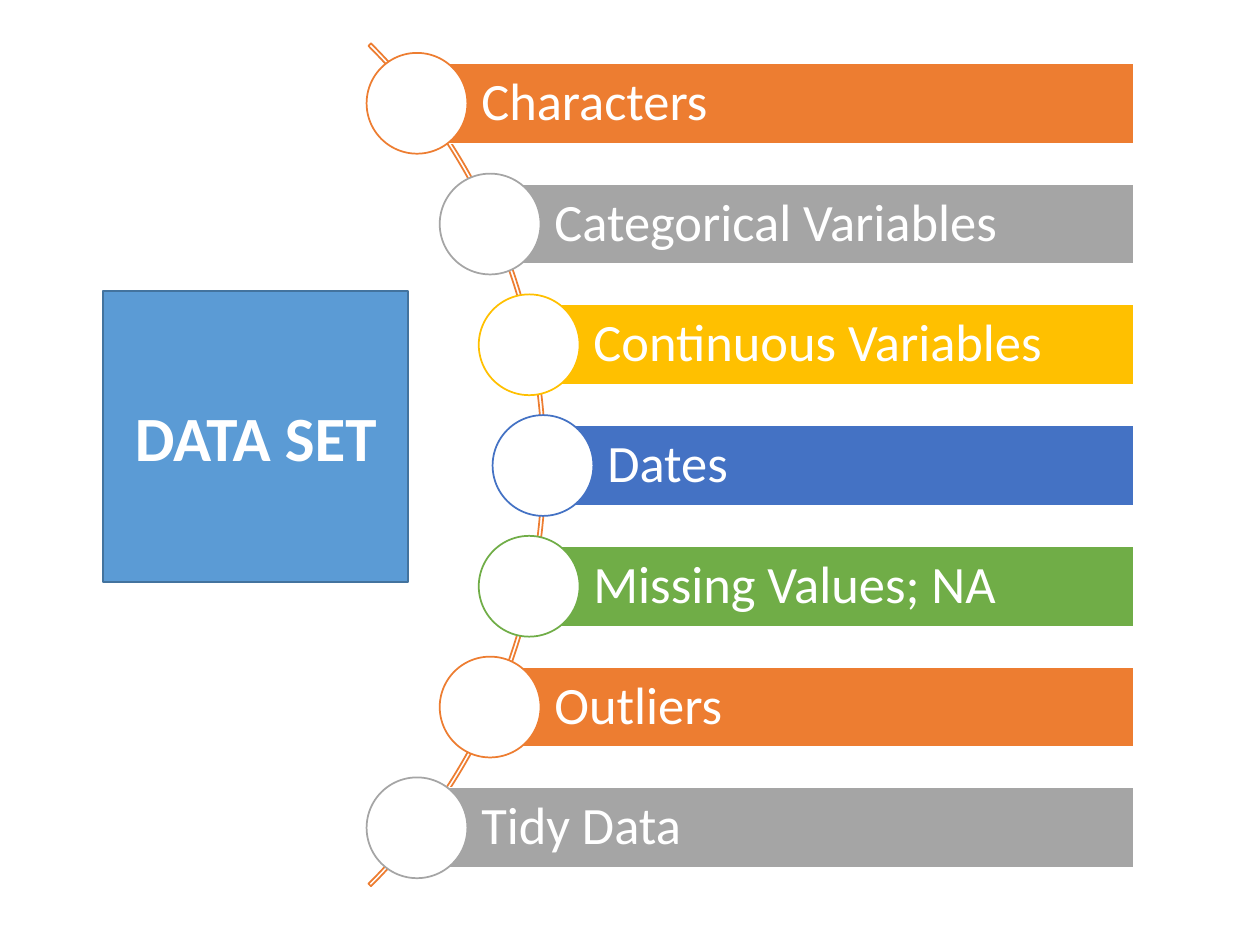
from pptx import Presentation
from pptx.dml.color import RGBColor
from pptx.enum.shapes import MSO_SHAPE
from pptx.enum.text import MSO_ANCHOR, PP_ALIGN
from pptx.util import Inches, Pt

RECT, OVAL, ARC = MSO_SHAPE.RECTANGLE, MSO_SHAPE.OVAL, MSO_SHAPE.BLOCK_ARC
MIDDLE = MSO_ANCHOR.MIDDLE
LEFT, CENTER = PP_ALIGN.LEFT, PP_ALIGN.CENTER

WHITE, ORANGE, GRAY, GOLD = "FFFFFF", "ED7D31", "A5A5A5", "FFC000"
BLUE, GREEN, SKY, NAVY = "4472C4", "70AD47", "5B9BD5", "43739E"

TOPICS = [
    ("Characters", ORANGE),
    ("Categorical Variables", GRAY),
    ("Continuous Variables", GOLD),
    ("Dates", BLUE),
    ("Missing Values; NA", GREEN),
    ("Outliers", ORANGE),
    ("Tidy Data", GRAY),
]
# Left edge of a bar by its distance in rows from the middle one
BAR_LEFTS = [4.31, 4.2, 3.89, 3.31]
BAR_RIGHT, BAR_TOP, BAR_HEIGHT = 9, 0.5, 0.64
PITCH = 5.75 / 6
CIRCLE = 0.8


def rgb(value):
    return RGBColor.from_string(value)


def write(sp, text, size, bold=False, align=LEFT, spacing=1.0):
    tf = sp.text_frame
    tf.word_wrap = True
    tf.vertical_anchor = MIDDLE
    p = tf.paragraphs[0]
    p.alignment = align
    p.line_spacing = spacing
    r = p.add_run()
    r.text = text
    r.font.name = "Calibri"
    r.font.size = Pt(size)
    r.font.bold = bold
    r.font.color.rgb = rgb(WHITE)


class Diagram:
    def __init__(self, slide):
        self.slide = slide

    def shape(self, kind, x, y, w, h, line, fill=None):
        sp = self.slide.shapes.add_shape(
            kind, Inches(x), Inches(y), Inches(w), Inches(h))
        sp.shadow.inherit = False
        if fill:
            sp.fill.solid()
            sp.fill.fore_color.rgb = rgb(fill)
        else:
            sp.fill.background()
        sp.line.color.rgb = rgb(line)
        sp.line.width = Pt(1)
        return sp

    def arc(self, x, y, size, angles, thickness):
        sp = self.shape(ARC, x, y, size, size, ORANGE)
        for i, value in enumerate((*angles, thickness)):
            sp.adjustments[i] = value

    def bar(self, x, y, text, color):
        sp = self.shape(RECT, x, y, BAR_RIGHT - x, BAR_HEIGHT, WHITE, color)
        tf = sp.text_frame
        tf.margin_left = Inches(0.51)
        tf.margin_top = tf.margin_right = tf.margin_bottom = Inches(0.08)
        write(sp, text, 30, spacing=0.9)

    def circle(self, cx, cy, color):
        self.shape(OVAL, cx - CIRCLE / 2, cy - CIRCLE / 2, CIRCLE, CIRCLE,
                   color, WHITE)

    def box(self, x, y, w, h, text):
        sp = self.shape(RECT, x, y, w, h, NAVY, SKY)
        write(sp, text, 36, bold=True, align=CENTER)


def main():
    prs = Presentation()
    prs.slide_width, prs.slide_height = Inches(10), Inches(7.5)
    s = prs.slides.add_slide(prs.slide_layouts[6])
    diagram = Diagram(s)

    # Curve behind the topics, from 315 to 45 degrees
    diagram.arc(-5.13, -1.04, 9.46, (189, 27), 0.003)

    # Topic bars, each with a circle centred on its left edge
    middle = len(TOPICS) // 2
    for i, (text, color) in enumerate(TOPICS):
        x = BAR_LEFTS[abs(i - middle)]
        y = BAR_TOP + i * PITCH
        diagram.bar(x, y, text, color)
        diagram.circle(x, y + BAR_HEIGHT / 2, color)

    # Main box
    diagram.box(0.82, 2.31, 2.42, 2.31, "DATA SET")

    prs.save("out.pptx")


if __name__ == "__main__":
    main()
